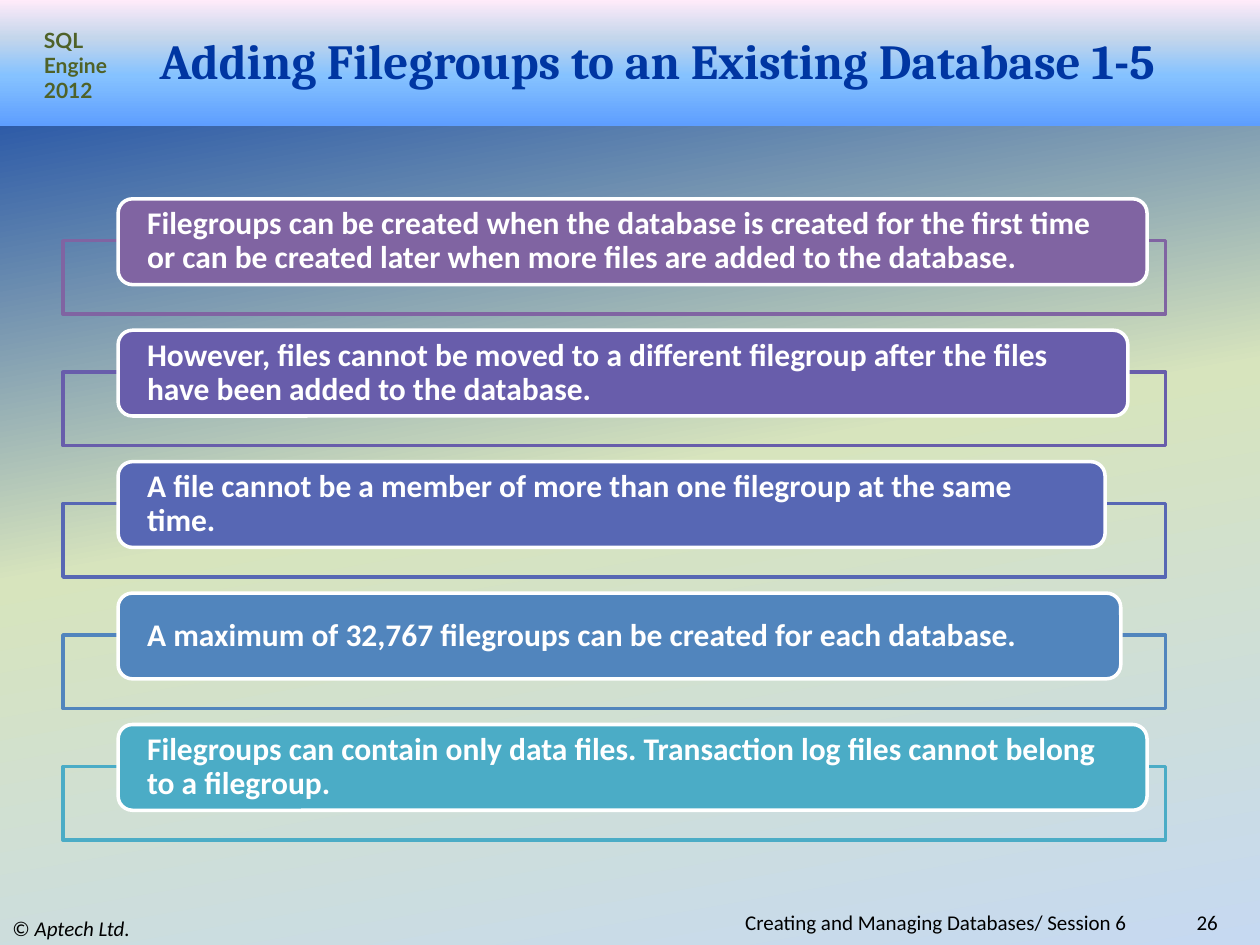
from pptx import Presentation
from pptx import util as u
from pptx.dml.color import RGBColor
from pptx.enum import shapes, text
from pptx.oxml import parse_xml
from pptx.oxml.ns import nsdecls, qn

Pt = u.Pt


def rgb(value):
    return RGBColor.from_string(value)


class Deck:
    body_font = "Calibri"
    title_font = "Cambria"
    label_font = "Lato"
    title_color = "0036A2"
    label_color = "4F6228"
    sky = [(0, "5E9EFF"), (40, "85C2FF"), (70, "C4D6EB"), (100, "FFEBFA")]
    meadow = [(0, "0036A2"), (50, "D7E4BD"), (100, "C6D9F1")]

    def __init__(self, width, height):
        self.prs = Presentation()
        self.prs.slide_width, self.prs.slide_height = Pt(width), Pt(height)
        self.slide = self.prs.slides.add_slide(self.prs.slide_layouts[5])

    def gradient(self, fill, element, stops, angle):
        fill.gradient()
        fill.gradient_angle = 360 - angle
        stop_list = next(element.iter(qn("a:gsLst")))
        for old in list(stop_list):
            stop_list.remove(old)
        for position, color in stops:
            stop_list.append(parse_xml(
                f'<a:gs {nsdecls("a")} pos="{position * 1000}">'
                f'<a:srgbClr val="{color}"/></a:gs>'))

    def background(self):
        self.gradient(self.slide.background.fill, self.slide.element, self.meadow, 80)

    def shape(self, kind, left, top, width, height, fill=None, line=None):
        shape = self.slide.shapes.add_shape(kind, Pt(left), Pt(top), Pt(width), Pt(height))
        shape.shadow.inherit = False
        if fill:
            shape.fill.solid()
            shape.fill.fore_color.rgb = rgb(fill)
        else:
            shape.fill.background()
        if line:
            shape.line.color.rgb = rgb(line)
            shape.line.width = Pt(2)
        else:
            shape.line.fill.background()
        return shape

    def header(self, width, height):
        band = self.shape(shapes.MSO_SHAPE.RECTANGLE, 0, 0, width, height)
        self.gradient(band.fill, band.element, self.sky, 270)

    def set_text(self, frame, runs, font, size, color, bold=False,
                 align=text.PP_ALIGN.LEFT, anchor=text.MSO_ANCHOR.MIDDLE):
        frame.word_wrap = True
        frame.auto_size = text.MSO_AUTO_SIZE.NONE
        frame.vertical_anchor = anchor
        paragraph = frame.paragraphs[0]
        paragraph.alignment = align
        paragraph.font.name = font
        paragraph.font.size = Pt(size)
        paragraph.font.bold = bold
        paragraph.font.color.rgb = rgb(color)
        for wording, italic in runs:
            run = paragraph.add_run()
            run.text = wording
            if italic:
                run.font.italic = True
        return paragraph

    def title(self, wording, left, top, width, height):
        title = self.slide.shapes.title
        title.left, title.top = Pt(left), Pt(top)
        title.width, title.height = Pt(width), Pt(height)
        title.element.getparent().append(title.element)
        self.set_text(title.text_frame, [(wording, False)], self.title_font, 28,
                      self.title_color, bold=True)

    def text_box(self, left, top, width, height):
        return self.slide.shapes.add_textbox(
            Pt(left), Pt(top), Pt(width), Pt(height)).text_frame

    def course_label(self, wording, *place):
        self.set_text(self.text_box(*place), [(wording, False)], self.label_font, 12,
                      self.label_color, bold=True, anchor=text.MSO_ANCHOR.TOP)

    def footer(self, runs, *place, align=text.PP_ALIGN.RIGHT):
        self.set_text(self.text_box(*place), runs, self.body_font, 12, "000000",
                      align=align)

    def point(self, wording, color, top, width):
        self.shape(shapes.MSO_SHAPE.RECTANGLE, 36, top + 24, 630, 42, line=color)
        bar = self.shape(shapes.MSO_SHAPE.ROUNDED_RECTANGLE, 67.5, top, width, 49,
                         fill=color, line="FFFFFF")
        frame = bar.text_frame
        frame.margin_left = frame.margin_right = Pt(14.2)
        frame.margin_top = frame.margin_bottom = 0
        paragraph = self.set_text(frame, [(wording, False)], self.body_font, 18,
                                  "FFFFFF", bold=True)
        paragraph.line_spacing = 0.9


POINTS = [
    ("Filegroups can be created when the database is created for the first time "
     "or can be created later when more files are added to the database.", "8064A2", 588),
    ("However, files cannot be moved to a different filegroup after the files "
     "have been added to the database.", "685DAB", 577),
    ("A file cannot be a member of more than one filegroup at the same time.",
     "5767B4", 564),
    ("A maximum of 32,767 filegroups can be created for each database.", "5185BD", 573),
    ("Filegroups can contain only data files. Transaction log files cannot belong "
     "to a filegroup.", "4BACC6", 588),
]


def main():
    deck = Deck(720, 540)
    deck.background()
    deck.header(720, 72)
    deck.footer([("© ", False), ("Aptech Ltd.", True)], 0, 520.5, 240, 19.5,
                align=text.PP_ALIGN.LEFT)
    deck.course_label("SQL Engine 2012", 18, 12, 54, 51)
    deck.footer([("26", False)], 642, 520.5, 61, 13)
    deck.footer([("Creating and Managing Databases/ Session 6", False)],
                180, 520.5, 471, 13)
    deck.title("Adding Filegroups to an Existing Database 1-5", 84, 18, 618, 32.5)
    for row, (wording, color, width) in enumerate(POINTS):
        deck.point(wording, color, 113.6 + 75.1 * row, width)
    deck.prs.save("out.pptx")


if __name__ == "__main__":
    main()
